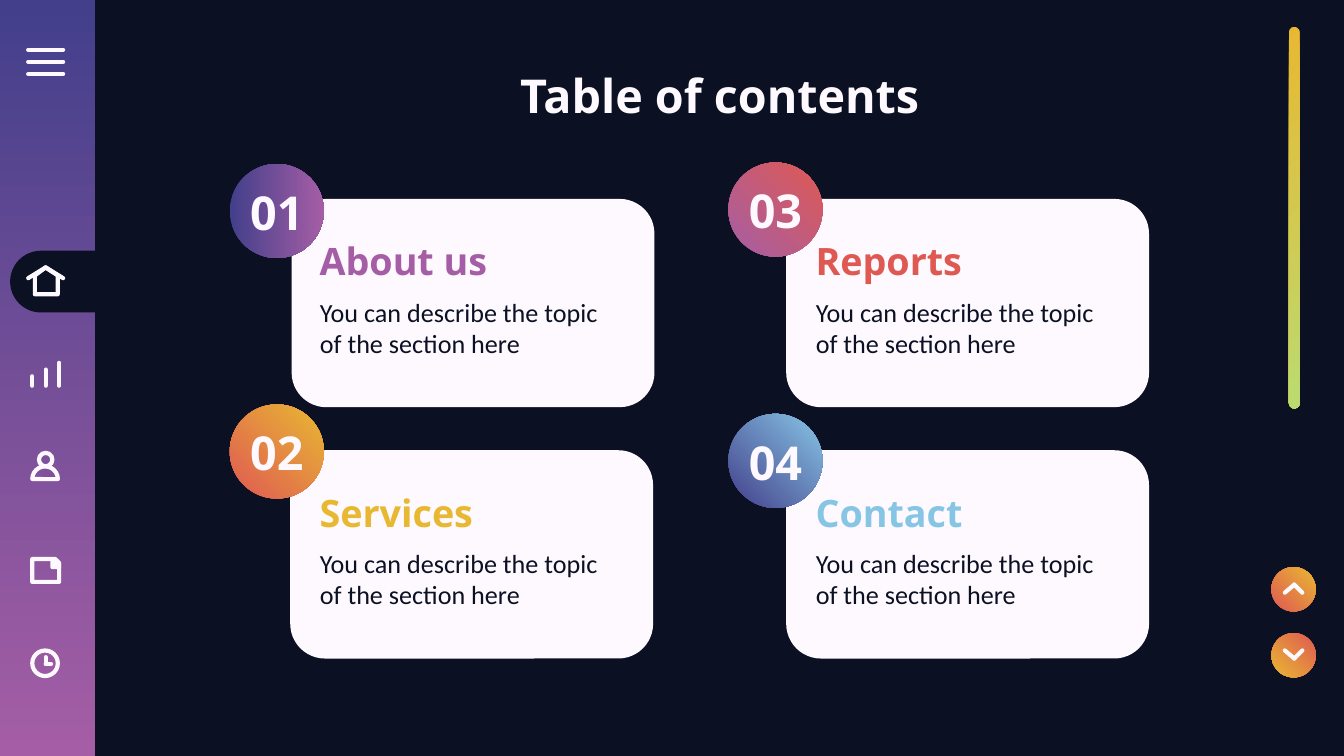
from lxml import etree
from pptx import Presentation
from pptx.dml.color import RGBColor
from pptx.enum.shapes import MSO_CONNECTOR, MSO_SHAPE
from pptx.enum.text import MSO_ANCHOR, MSO_AUTO_SIZE, PP_ALIGN
from pptx.oxml.ns import qn
from pptx.util import Inches, Pt

NIGHT = RGBColor(0x0B, 0x10, 0x22)
WHITE = RGBColor(0xFD, 0xF9, 0xFF)
INDIGO = RGBColor(0x43, 0x3F, 0x8B)
PURPLE = RGBColor(0xA5, 0x5E, 0xA5)
RED = RGBColor(0xDF, 0x59, 0x53)
YELLOW = RGBColor(0xE8, 0xB8, 0x32)
GREEN = RGBColor(0xBB, 0xDB, 0x70)
BLUE = RGBColor(0x87, 0xC5, 0xE5)


def add_filled(kind, left, top, width, height, colors, angle=0):
    shape = page.shapes.add_shape(kind, Inches(left), Inches(top), Inches(width), Inches(height))
    shape.shadow.inherit = False
    shape.line.fill.background()
    if len(colors) == 1:
        shape.fill.solid()
        shape.fill.fore_color.rgb = colors[0]
    else:
        shape.fill.gradient()
        shape.fill.gradient_angle = angle
        for stop, color, position in zip(shape.fill.gradient_stops, colors, (0, 1)):
            stop.color.rgb = color
            stop.position = position
    return shape


def write(box, text, font, size, color, bold, align, anchor=MSO_ANCHOR.MIDDLE):
    frame = box.text_frame
    frame.text = text
    frame.word_wrap = True
    frame.auto_size = MSO_AUTO_SIZE.NONE
    frame.vertical_anchor = anchor
    frame.margin_left = frame.margin_right = Inches(0.1)
    frame.margin_top = frame.margin_bottom = Inches(0.1)
    paragraph = frame.paragraphs[0]
    paragraph.alignment = align
    paragraph.space_before = Pt(0)
    paragraph.font.name = font
    paragraph.font.size = Pt(size)
    paragraph.font.bold = bold
    paragraph.font.color.rgb = color
    return paragraph


deck = Presentation()
deck.slide_width = Inches(10)
deck.slide_height = Inches(10 * 9 / 16)
page = deck.slides.add_slide(deck.slide_layouts.get_by_name("Comparison"))
page.background.fill.solid()
page.background.fill.fore_color.rgb = NIGHT

add_filled(MSO_SHAPE.RECTANGLE, 0, 0, 0.71, deck.slide_height.inches, (INDIGO, PURPLE), 270)
scroll_bar = add_filled(MSO_SHAPE.ROUNDED_RECTANGLE, 8.21, 1.58, 2.84, 0.08, (YELLOW, GREEN), 45)
scroll_bar.adjustments[0] = 0.5
scroll_bar.rotation = 90

heading = page.shapes.title
heading.left, heading.top, heading.width, heading.height = map(Inches, (0.71, 0.4, 9.29, 0.63))
write(heading, "Table of contents", "Open Sans", 25, WHITE, True, PP_ALIGN.CENTER, MSO_ANCHOR.TOP)

sections = [
    ("01", "About us", 2.17, 1.48, 1.71, 1.22, (INDIGO, PURPLE), 0, PURPLE),
    ("02", "Services", 2.16, 3.35, 1.71, 3.01, (RED, YELLOW), 45, YELLOW),
    ("03", "Reports", 5.85, 1.48, 5.42, 1.21, (PURPLE, RED), 45, RED),
    ("04", "Contact", 5.85, 3.35, 5.42, 3.08, (INDIGO, BLUE), 45, BLUE),
]
descriptions = [holder for holder in page.placeholders if holder.placeholder_format.idx in (1, 2, 3, 4)]
for section, description in zip(sections, descriptions):
    number, name, left, top, badge_left, badge_top, colors, angle, name_color = section
    text_left = 2.28 if left < 5 else 5.97

    add_filled(MSO_SHAPE.ROUNDED_RECTANGLE, left, top, 2.7, 1.55, (WHITE,))
    add_filled(MSO_SHAPE.OVAL, badge_left, badge_top, 0.7, 0.7, colors, angle)
    number_box = page.shapes.add_textbox(Inches(badge_left), Inches(badge_top + 0.07), Inches(0.7), Inches(0.57))
    write(number_box, number, "Open Sans", 25, WHITE, True, PP_ALIGN.CENTER)

    name_box = page.shapes.add_textbox(Inches(text_left), Inches(top + 0.21), Inches(2.02), Inches(0.5))
    write(name_box, name, "Open Sans", 20.2, name_color, True, PP_ALIGN.LEFT)

    description.left, description.top = Inches(text_left), Inches(top + 0.56)
    description.width, description.height = Inches(2.46), Inches(0.79)
    paragraph = write(description, "You can describe the topic of the section here",
                      "Calibri", 14, NIGHT, False, PP_ALIGN.LEFT)
    properties = paragraph._p.get_or_add_pPr()
    properties.set("marL", "0")
    properties.set("indent", "0")
    properties.insert_element_before(etree.Element(qn("a:buNone")), "a:tabLst", "a:defRPr", "a:extLst")
    description.element.getparent().append(description.element)

active_tab = add_filled(MSO_SHAPE.ROUND_2_SAME_RECTANGLE, 0.2, 1.74, 0.46, 0.71, (NIGHT,))
active_tab.adjustments[0] = 0.5
active_tab.rotation = 270

next_button = add_filled(MSO_SHAPE.OVAL, 9.46, 4.71, 0.33, 0.33, (RED, YELLOW), 45)
next_button.rotation = 180
add_filled(MSO_SHAPE.OVAL, 9.46, 4.22, 0.33, 0.33, (RED, YELLOW), 45)

menu_lines = [(0.21, y, 0.47, y) for y in (0.37, 0.46, 0.55)]
roof_lines = [(x, 2.07, 0.34, 1.99) for x in (0.21, 0.47)]
chart_lines = [(x, y, x, 2.87) for x, y in ((0.24, 2.8), (0.34, 2.75), (0.44, 2.7))]
clock_hands = [(0.34, 4.89, 0.34, 4.94), (0.38, 4.94, 0.34, 4.94)]
chevrons = [(9.63, tip, x, end) for tip, end in ((4.9, 4.84), (4.35, 4.41)) for x in (9.56, 9.69)]

icons = []
for ends in menu_lines + roof_lines + chart_lines + clock_hands + chevrons:
    icons.append(page.shapes.add_connector(MSO_CONNECTOR.STRAIGHT, *map(Inches, ends)))

house = [(0.26, 2.05), (0.26, 2.19), (0.43, 2.19), (0.43, 2.05), (0.34, 1.99)]
note_corner = [(0.39, 4.17), (0.42, 4.17), (0.44, 4.2), (0.44, 4.22), (0.39, 4.22)]
for outline in (house, note_corner):
    points = [(Inches(x), Inches(y)) for x, y in outline]
    builder = page.shapes.build_freeform(*points[0])
    builder.add_line_segments(points[1:], close=True)
    icon = builder.convert_to_shape()
    if outline is note_corner:
        icon.fill.solid()
        icon.fill.fore_color.rgb = WHITE
    else:
        icon.fill.background()
    icons.append(icon)

for kind, frame in [
    (MSO_SHAPE.OVAL, (0.29, 3.37, 0.1, 0.1)),
    (MSO_SHAPE.PIE, (0.24, 3.47, 0.19, 0.19)),
    (MSO_SHAPE.SNIP_1_RECTANGLE, (0.24, 4.16, 0.2, 0.17)),
    (MSO_SHAPE.OVAL, (0.24, 4.84, 0.19, 0.19)),
]:
    icon = page.shapes.add_shape(kind, *map(Inches, frame))
    icon.fill.background()
    if kind == MSO_SHAPE.PIE:
        icon.adjustments[0] = 54.33
        icon.adjustments[1] = 162
        icon.rotation = 90
    icons.append(icon)

for icon in icons:
    icon.line.color.rgb = WHITE
    icon.line.width = Pt(2.25)
    icon.line._get_or_add_ln().set("cap", "rnd")
    etree.SubElement(icon.element.spPr, qn("a:effectLst"))

deck.save("out.pptx")
